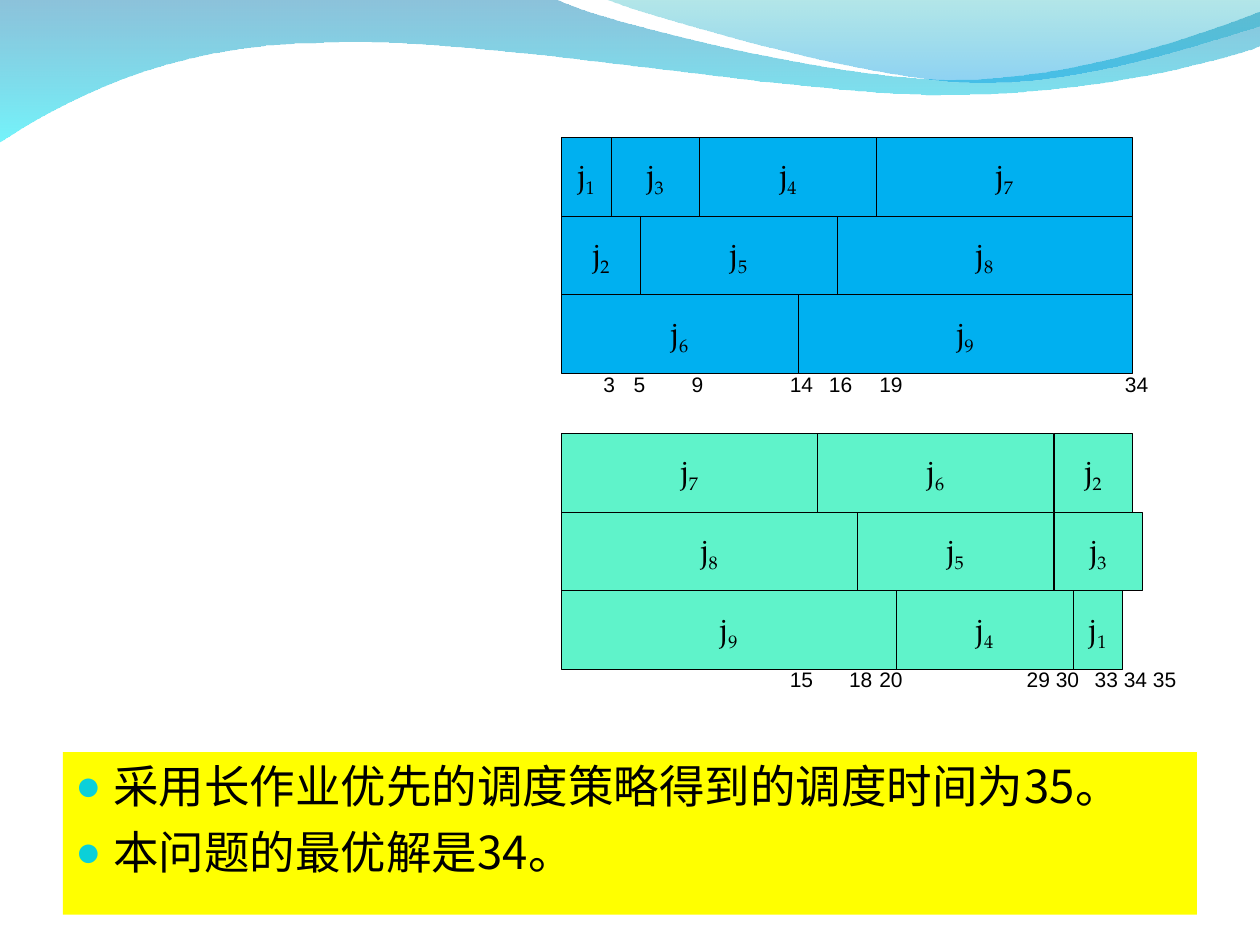
from pptx import Presentation
from pptx.dml.color import RGBColor
from pptx.enum.shapes import MSO_SHAPE
from pptx.enum.text import MSO_ANCHOR, PP_ALIGN
from pptx.oxml.ns import qn
from pptx.util import Inches, Pt
from lxml.etree import SubElement

BLACK = RGBColor(0x00, 0x00, 0x00)
YELLOW = RGBColor(0xFF, 0xFF, 0x00)
BLUE = RGBColor(0x00, 0xB0, 0xF0)
MINT = RGBColor(0x5F, 0xF3, 0xCA)
DEEP_BLUE = RGBColor(0x00, 0x79, 0xAF)
CYAN = RGBColor(0x00, 0xEB, 0xF8)
TEAL = RGBColor(0x00, 0xAD, 0xB6)
SKY = RGBColor(0x00, 0x9B, 0xE5)
BULLET = RGBColor(0x0B, 0xD0, 0xD9)


def write_text(paragraph, text, size=12, font="Arial", subscript=False):
    run = paragraph.add_run()
    run.text = text
    run.font.size = Pt(size)
    run.font.name = font
    run.font.color.rgb = BLACK
    properties = run.font._element
    SubElement(properties, qn("a:ea"), typeface=font)
    if subscript:
        properties.set("baseline", "-25000")


prs = Presentation()
prs.slide_width = Inches(10)
prs.slide_height = Inches(7.5)
slide = prs.slides.add_slide(prs.slide_layouts[6])

waves = [
    ((0, -0.01),
     [(4.4, -0.01), (4.76, 0.17, 6.64, 0.63, 7.58, 0.63),
      (8.53, 0.63, 9.58, 0.26, 10, 0.09), (10.01, 0.36),
      (9.83, 0.44, 8.7, 0.76, 7.46, 0.75), (6.22, 0.75, 3.82, 0.28, 2.57, 0.34),
      (1.29, 0.35, 0.46, 0.83, -0.01, 1.13)],
     [(DEEP_BLUE, 45), (CYAN, 55)]),
    ((4.79, -0.01),
     [(5.09, 0.11, 6.82, 0.62, 7.69, 0.65), (8.56, 0.69, 9.61, 0.32, 10, 0.21), (10, 0)],
     [(TEAL, 30), (SKY, 45)]),
]
for start, segments, stops in waves:
    outline = slide.shapes.build_freeform(Inches(start[0]), Inches(start[1]))
    outline.add_line_segments([(Inches(s[-2]), Inches(s[-1])) for s in segments], close=True)
    wave = outline.convert_to_shape()
    edges = list(wave._element.spPr.iter(qn("a:lnTo")))
    for edge, segment in zip(edges, segments):
        if len(segment) == 6:
            curve = edge.makeelement(qn("a:cubicBezTo"))
            for x, y in zip(segment[::2], segment[1::2]):
                SubElement(curve, qn("a:pt"), x=str(Inches(x) - wave.left),
                           y=str(Inches(y) - wave.top))
            edge.getparent().replace(edge, curve)
    wave.shadow.inherit = False
    wave.line.fill.background()
    wave.fill.gradient()
    wave.fill.gradient_angle = 270
    for gradient_stop, position, (color, opacity) in zip(wave.fill.gradient_stops, (0, 1), stops):
        gradient_stop.position = position
        gradient_stop.color.rgb = color
    for color_node, (color, opacity) in zip(wave._element.spPr.iter(qn("a:srgbClr")), stops):
        SubElement(color_node, qn("a:alpha"), val=str(opacity * 1000))

conclusion = slide.shapes.add_textbox(Inches(0.5), Inches(5.97), Inches(9), Inches(1.29))
conclusion.fill.solid()
conclusion.fill.fore_color.rgb = YELLOW
conclusion.text_frame.word_wrap = True
findings = ["采用长作业优先的调度策略得到的调度时间为35。", "本问题的最优解是34。"]
for index, finding in enumerate(findings):
    frame = conclusion.text_frame
    paragraph = frame.add_paragraph() if index else frame.paragraphs[0]
    paragraph.space_before = Pt(6.5)
    properties = paragraph._p.get_or_add_pPr()
    properties.set("marL", str(Inches(0.3)))
    properties.set("indent", str(-Inches(0.3)))
    SubElement(SubElement(properties, qn("a:buClr")), qn("a:srgbClr"), val=str(BULLET))
    SubElement(properties, qn("a:buSzPct"), val="95000")
    SubElement(properties, qn("a:buFont"), typeface="Arial")
    SubElement(properties, qn("a:buChar"), char="●")
    write_text(paragraph, finding, size=26, font="Noto Sans CJK SC")

JOB_LENGTHS = {1: 5, 2: 8, 3: 9, 4: 18, 5: 20, 6: 24, 7: 26, 8: 30, 9: 34}
UNIT = 4.53 / 58
LEFT = 4.46
ROW_HEIGHT = 4.53 / 58 * 8
schedules = [
    (1.09, BLUE, [(1, 3, 4, 7), (2, 5, 8), (6, 9)], 2.9,
     [("3", 4.69), ("5", 4.93), ("9", 5.39), ("14", 6.17),
      ("16", 6.48), ("19", 6.88), ("34", 8.83)]),
    (3.44, MINT, [(7, 6, 2), (8, 5, 3), (9, 4, 1)], 5.24,
     [("15", 6.17), ("18", 6.64), ("20", 6.88), ("29 30", 8.05), ("33 34 35", 8.59)]),
]
for top, color, machines, label_top, labels in schedules:
    schedule = slide.shapes.add_group_shape()
    for row, jobs in enumerate(machines):
        job_left = LEFT
        for job in jobs:
            width = JOB_LENGTHS[job] * UNIT
            block = schedule.shapes.add_shape(
                MSO_SHAPE.RECTANGLE, Inches(job_left), Inches(top + row * ROW_HEIGHT),
                Inches(width), Inches(ROW_HEIGHT))
            block.shadow.inherit = False
            block.fill.solid()
            block.fill.fore_color.rgb = color
            block.line.color.rgb = BLACK
            block.line.width = Pt(0.5)
            block.text_frame.vertical_anchor = MSO_ANCHOR.MIDDLE
            paragraph = block.text_frame.paragraphs[0]
            paragraph.alignment = PP_ALIGN.CENTER
            write_text(paragraph, "j", size=18, font="TeX Gyre Pagella")
            write_text(paragraph, str(job), size=18, font="TeX Gyre Pagella", subscript=True)
            job_left += width
    for time, time_left in labels:
        tick = schedule.shapes.add_textbox(
            Inches(time_left), Inches(label_top), Inches(0.24 + 0.09 * len(time)), Inches(0.3))
        tick.text_frame.word_wrap = True
        write_text(tick.text_frame.paragraphs[0], time)

prs.save("out.pptx")
